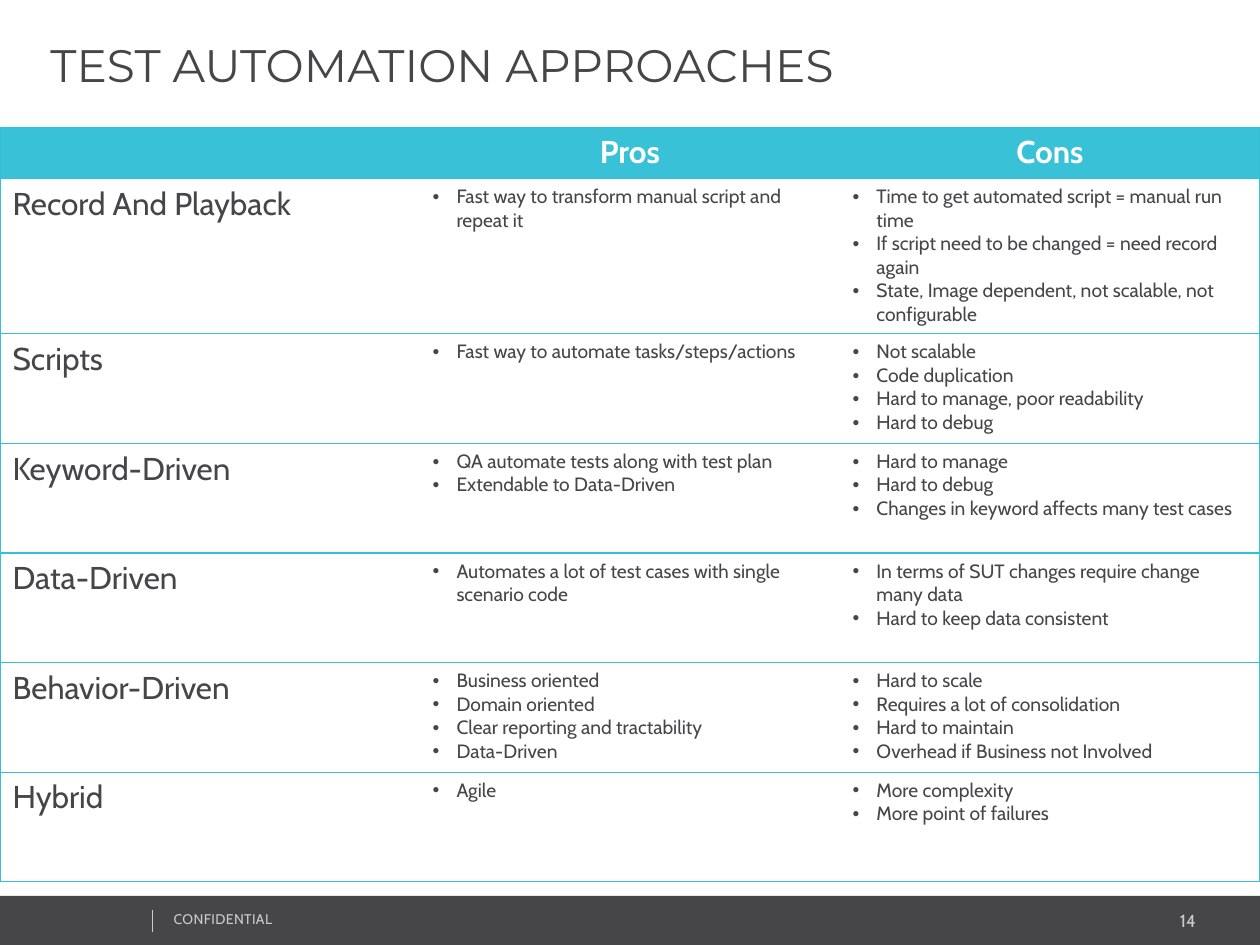
from dataclasses import dataclass

from lxml.etree import SubElement
from pptx import Presentation
from pptx.dml.color import RGBColor
from pptx.enum.shapes import MSO_CONNECTOR, MSO_SHAPE
from pptx.enum.text import MSO_ANCHOR, MSO_AUTO_SIZE, PP_ALIGN
from pptx.oxml.ns import qn
from pptx.util import Inches, Pt


@dataclass(frozen=True)
class Theme:
    dark: RGBColor = RGBColor.from_string("464547")
    muted: RGBColor = RGBColor.from_string("CCCCCC")
    white: RGBColor = RGBColor.from_string("FFFFFF")
    header: RGBColor = RGBColor.from_string("39C2D7")
    border: RGBColor = RGBColor.from_string("34C1D6")
    title_font: str = "Montserrat"
    body_font: str = "Cabin"
    title_size: Pt = Pt(26)
    heading_size: Pt = Pt(18)
    bullet_size: Pt = Pt(11)
    number_size: Pt = Pt(10)
    footer_size: Pt = Pt(8)
    border_width: Pt = Pt(0.75)


theme = Theme()

headers = ["", "Pros", "Cons"]
approaches = [
    ("Record And Playback",
     ["Fast way to transform manual script and repeat it"],
     ["Time to get automated script = manual run time",
      "If script need to be changed = need record again",
      "State, Image dependent, not scalable, not configurable"]),
    ("Scripts",
     ["Fast way to automate tasks/steps/actions"],
     ["Not scalable", "Code duplication", "Hard to manage, poor readability", "Hard to debug"]),
    ("Keyword-Driven",
     ["QA automate tests along with test plan", "Extendable to Data-Driven"],
     ["Hard to manage", "Hard to debug", "Changes in keyword affects many test cases"]),
    ("Data-Driven",
     ["Automates a lot of test cases with single scenario code"],
     ["In terms of SUT changes require change many data", "Hard to keep data consistent"]),
    ("Behavior-Driven",
     ["Business oriented", "Domain oriented", "Clear reporting and tractability", "Data-Driven"],
     ["Hard to scale", "Requires a lot of consolidation", "Hard to maintain",
      "Overhead if Business not Involved"]),
    ("Hybrid", ["Agile"], ["More complexity", "More point of failures"]),
]


def style_text(para, size, color, font=theme.body_font, bold=False):
    for span in para.runs:
        span.font.name = font
        span.font.size = size
        span.font.bold = bold
        span.font.color.rgb = color


def set_borders(cell, visible):
    properties = cell._tc.get_or_add_tcPr()
    for side in ("L", "R", "T", "B"):
        line = SubElement(properties, qn(f"a:ln{side}"), w=str(theme.border_width))
        if side in visible:
            fill = SubElement(line, qn("a:solidFill"))
            SubElement(fill, qn("a:srgbClr"), val=str(theme.border))
        else:
            SubElement(line, qn("a:noFill"))


deck = Presentation()
deck.slide_width = Inches(10)
deck.slide_height = Inches(7.5)
page = deck.slides.add_slide(deck.slide_layouts[5])

title = page.shapes.title
title.left, title.top, title.width, title.height = Inches(0), Inches(0), Inches(10), Inches(1.02)
title.fill.solid()
title.fill.fore_color.rgb = theme.white
title_frame = title.text_frame
title_frame.text = "TEST AUTOMATION APPROACHES"
title_frame.auto_size = MSO_AUTO_SIZE.NONE
title_frame.vertical_anchor = MSO_ANCHOR.MIDDLE
title_frame.margin_left = Inches(0.4)
title_frame.paragraphs[0].alignment = PP_ALIGN.LEFT
style_text(title_frame.paragraphs[0], theme.title_size, theme.dark, theme.title_font)

footer_bar = page.shapes.add_shape(MSO_SHAPE.RECTANGLE, Inches(0), Inches(7.11), Inches(10), Inches(0.4))
footer_bar.shadow.inherit = False
footer_bar.fill.solid()
footer_bar.fill.fore_color.rgb = theme.dark
footer_bar.line.fill.background()

footer_texts = [
    ("14", 7.96, 7.17, 1.63, 0.27, PP_ALIGN.RIGHT, theme.number_size),
    ("CONFIDENTIAL", 1.28, 7.18, 2.53, 0.24, PP_ALIGN.LEFT, theme.footer_size),
]
for text, left, top, width, height, alignment, size in footer_texts:
    box = page.shapes.add_textbox(Inches(left), Inches(top), Inches(width), Inches(height))
    box.text_frame.word_wrap = True
    box.text_frame.text = text
    para = box.text_frame.paragraphs[0]
    para.alignment = alignment
    style_text(para, size, theme.muted)
    if text == "CONFIDENTIAL":
        para.runs[0].font._element.set("spc", "20")

divider = page.shapes.add_connector(
    MSO_CONNECTOR.STRAIGHT, Inches(1.21), Inches(7.22), Inches(1.21), Inches(7.4))
divider.line.color.rgb = theme.muted
divider.line.width = Pt(0.25)
SubElement(divider._element.spPr, qn("a:effectLst"))

row_heights = [0.41, 1.23] + [0.87] * 5
table = page.shapes.add_table(
    len(row_heights), len(headers), Inches(0), Inches(1.01), Inches(10), Inches(sum(row_heights))).table
for row, height in zip(table.rows, row_heights):
    row.height = Inches(height)

for column, header in enumerate(headers):
    cell = table.cell(0, column)
    set_borders(cell, "T" + {0: "L", 2: "R"}.get(column, ""))
    cell.fill.solid()
    cell.fill.fore_color.rgb = theme.header
    cell.text_frame.text = header
    para = cell.text_frame.paragraphs[0]
    para.alignment = PP_ALIGN.CENTER
    style_text(para, theme.heading_size, theme.white, bold=True)

for row_index, (approach, pros, cons) in enumerate(approaches, start=1):
    for column, lines in enumerate([[approach], pros, cons]):
        cell = table.cell(row_index, column)
        set_borders(cell, "TB" + {0: "L", 2: "R"}.get(column, ""))
        cell.fill.background()
        cell.text_frame.text = "\n".join(lines)
        for para in cell.text_frame.paragraphs:
            style_text(para, theme.bullet_size if column else theme.heading_size, theme.dark)
            if column:
                properties = para._p.get_or_add_pPr()
                properties.set("marL", str(Inches(0.19)))
                properties.set("indent", str(-Inches(0.19)))
                SubElement(properties, qn("a:buFont"), typeface="Arial")
                SubElement(properties, qn("a:buChar"), char="•")

deck.save("out.pptx")
